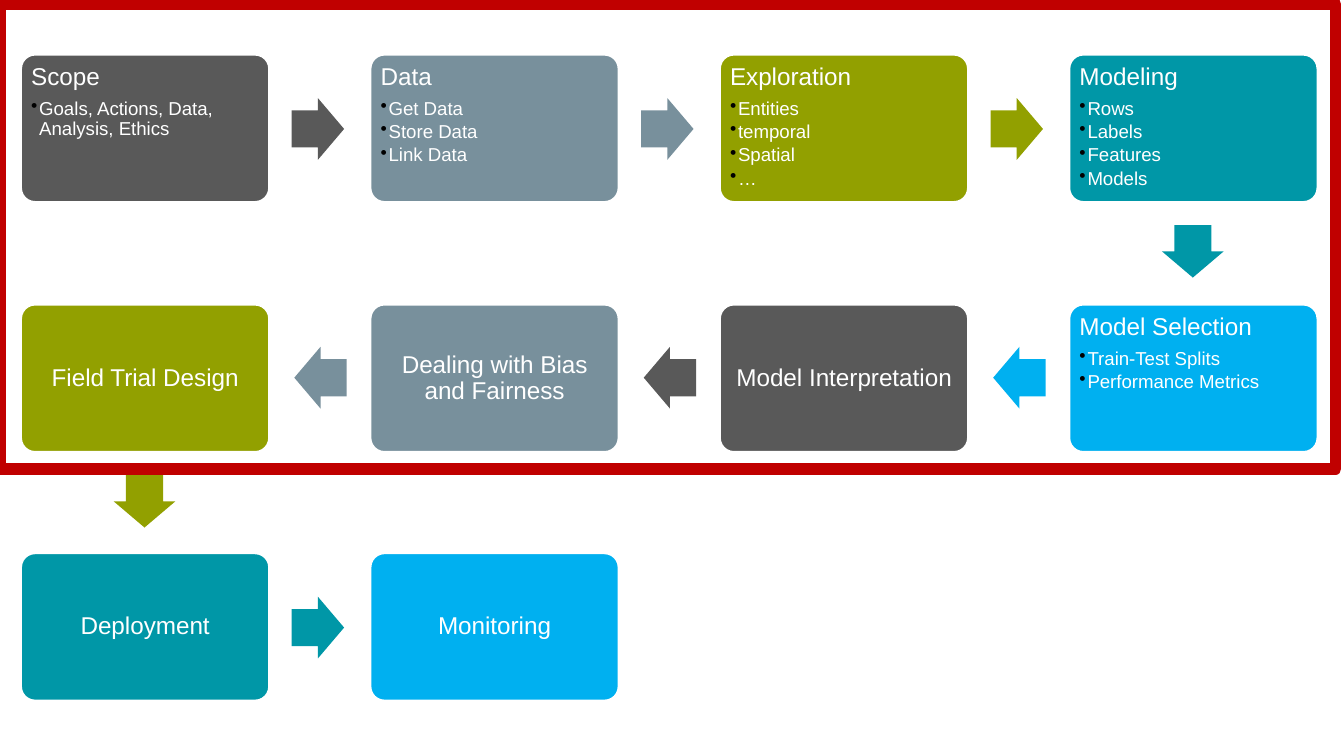
"""Build a snaking process diagram of a data project, with the early stages framed."""
from lxml import etree
from pptx import Presentation, util as u
from pptx.dml.color import RGBColor
from pptx.enum import shapes, text
from pptx.oxml.ns import qn

COLORS = {"gray": "595959", "slate": "78909C", "olive": "92A000", "teal": "0097A7",
          "blue": "00B0F0", "white": "FFFFFF", "black": "000000", "red": "C00000"}
STAGES = [
    ("Scope", "gray", ["Goals, Actions, Data, Analysis, Ethics"]),
    ("Data", "slate", ["Get Data", "Store Data", "Link Data"]),
    ("Exploration", "olive", ["Entities", "temporal", "Spatial", "…"]),
    ("Modeling", "teal", ["Rows", "Labels", "Features", "Models"]),
    ("Model Selection", "blue", ["Train-Test Splits", "Performance Metrics"]),
    ("Model Interpretation", "gray", []),
    ("Dealing with Bias and Fairness", "slate", []),
    ("Field Trial Design", "olive", []),
    ("Deployment", "teal", []),
    ("Monitoring", "blue", []),
]
COLUMNS = 4
ROW_TOPS = [0.4, 2.26, 4.11]
ARROW_OFFSETS = {0: (2.02, 0.33), 90: (0.73, 1.24), 180: (-0.56, 0.32)}

prs = Presentation()
prs.slide_width = u.Inches(10)
prs.slide_height = prs.slide_width * 9 // 16
slide = prs.slides.add_slide(prs.slide_layouts[6])


def add_block(kind, left, top, width, height, color):
    block = slide.shapes.add_shape(kind, *map(u.Inches, (left, top, width, height)))
    block.shadow.inherit = False
    block.fill.solid()
    block.fill.fore_color.rgb = RGBColor.from_string(COLORS[color])
    block.line.fill.background()
    return block


def style_paragraph(paragraph, size, space_after, align):
    paragraph.alignment = align
    paragraph.line_spacing = 0.9
    paragraph.space_after = u.Pt(space_after)
    paragraph.font.name = "Arial"
    paragraph.font.size = u.Pt(size)
    paragraph.font.color.rgb = RGBColor.from_string(COLORS["white"])


for index, (title, color, details) in enumerate(STAGES):
    row, step = divmod(index, COLUMNS)
    column = COLUMNS - 1 - step if row % 2 else step
    left, top = 0.15 + 2.6 * column, ROW_TOPS[row]

    stage = add_block(shapes.MSO_SHAPE.ROUNDED_RECTANGLE, left, top, 1.86, 1.11, color)
    stage.adjustments[0] = 0.1
    stage.line.color.rgb = RGBColor.from_string(COLORS["white"])
    stage.line.width = u.Pt(2)
    frame = stage.text_frame
    frame.word_wrap = True
    frame.margin_left = frame.margin_right = u.Inches(0.05)
    frame.margin_top = frame.margin_bottom = u.Inches(0.05)
    frame.vertical_anchor = text.MSO_ANCHOR.TOP if details else text.MSO_ANCHOR.MIDDLE
    heading = frame.paragraphs[0]
    heading.text = title
    style_paragraph(heading, 13, 4.5, text.PP_ALIGN.LEFT if details else text.PP_ALIGN.CENTER)

    for detail in details:
        item = frame.add_paragraph()
        item.text = detail
        item.level = 1
        style_paragraph(item, 10, 1.6, text.PP_ALIGN.LEFT)
        props = item._p.get_or_add_pPr()
        props.set("marL", str(u.Inches(0.06)))
        props.set("indent", str(-u.Inches(0.06)))
        bullet_color = etree.Element(qn("a:buClr"))
        etree.SubElement(bullet_color, qn("a:srgbClr"), val=COLORS["black"])
        bullet = etree.Element(qn("a:buChar"), char="•")
        for part in (bullet_color, bullet):
            props.find(qn("a:defRPr")).addprevious(part)

    if index < len(STAGES) - 1:
        rotation = 90 if step == COLUMNS - 1 else 180 * (row % 2)
        dx, dy = ARROW_OFFSETS[rotation]
        arrow = add_block(shapes.MSO_SHAPE.RIGHT_ARROW, left + dx, top + dy, 0.39, 0.46, color)
        arrow.adjustments[0], arrow.adjustments[1] = 0.6, 0.5
        arrow.rotation = rotation

scope_border = add_block(shapes.MSO_SHAPE.RECTANGLE, 0, 0.03, 9.94, 3.46, "white")
scope_border.fill.background()
scope_border.line.color.rgb = RGBColor.from_string(COLORS["red"])
scope_border.line.width = u.Pt(6)

prs.save("out.pptx")
